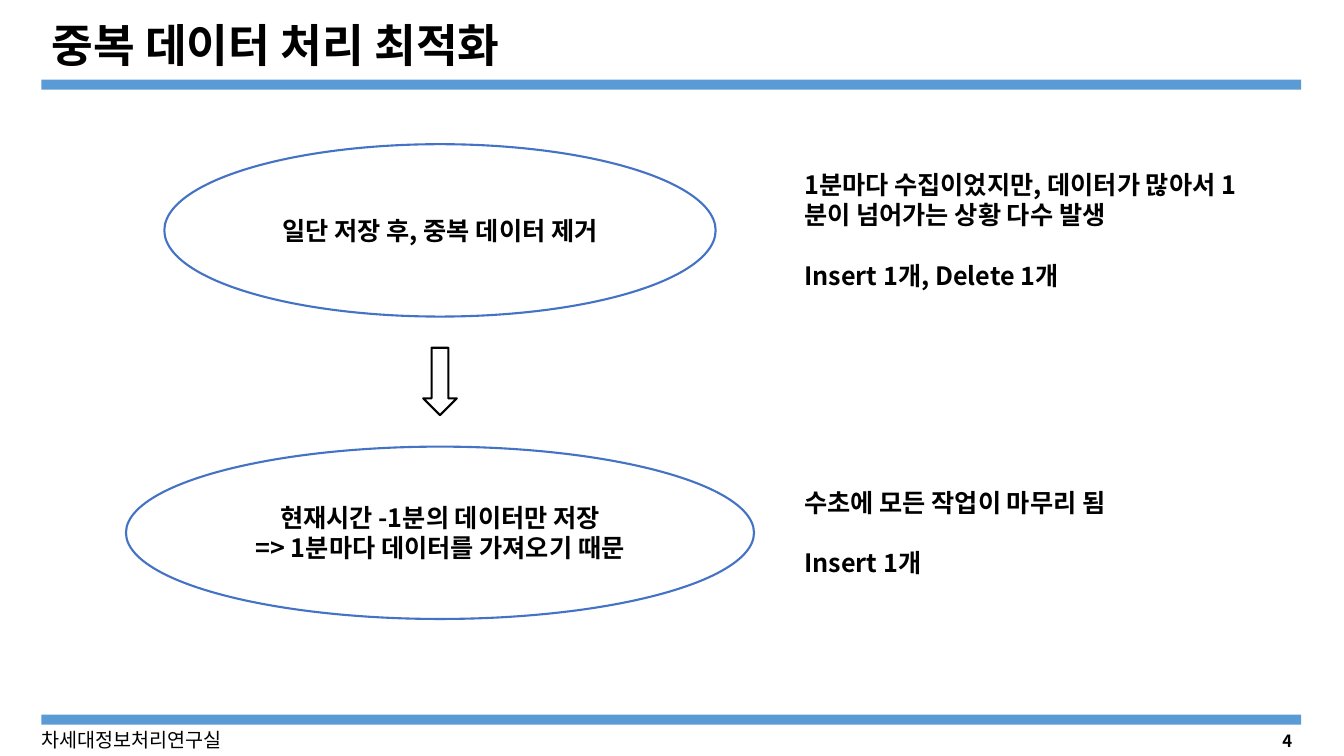
from dataclasses import dataclass

from lxml import etree
from pptx import Presentation
from pptx.dml.color import RGBColor
from pptx.enum import shapes, text
from pptx.oxml import ns
from pptx.util import Pt

FONT = "Noto Sans CJK KR"
BLACK = RGBColor(0x00, 0x00, 0x00)
WHITE = RGBColor(0xFF, 0xFF, 0xFF)
BAR_BLUE = RGBColor(0x5B, 0x9B, 0xD5)
OUTLINE_BLUE = RGBColor(0x44, 0x72, 0xC4)

BAR_LEFT, BAR_WIDTH, BAR_HEIGHT = 29.5, 900, 7.2
FLOW_CENTER = 314.3
STEP_HEIGHT = 123.1
NOTE_LEFT, NOTE_WIDTH = 567.4, 339.8
NOTE_GAP = 21.6


@dataclass
class Step:
    top: float
    width: float
    lines: list[str]


@dataclass
class Label:
    left: float
    top: float
    width: float
    height: float
    lines: list[str]
    size: float = 18
    bold: bool = True
    align: text.PP_ALIGN = text.PP_ALIGN.LEFT
    anchor: text.MSO_ANCHOR = text.MSO_ANCHOR.TOP
    gap: float = 0


STEPS = [
    Step(103, 393.8, ["일단 저장 후, 중복 데이터 제거"]),
    Step(319, 448.6, ["현재시간 -1분의 데이터만 저장", "=> 1분마다 데이터를 가져오기 때문"]),
]

LABELS = [
    Label(NOTE_LEFT, 117.4, NOTE_WIDTH, 94.3,
          ["1분마다 수집이었지만, 데이터가 많아서 1분이 넘어가는 상황 다수 발생",
           "Insert 1개, Delete 1개"], gap=NOTE_GAP),
    Label(NOTE_LEFT, 344.2, NOTE_WIDTH, 72.7,
          ["수초에 모든 작업이 마무리 됨", "Insert 1개"], gap=NOTE_GAP),
    Label(22.3, 516.2, 197.3, 24.5, ["차세대정보처리연구실"], size=14, bold=False),
    Label(714.2, 518.4, 216, 21.6, ["4"], size=12,
          align=text.PP_ALIGN.RIGHT, anchor=text.MSO_ANCHOR.MIDDLE),
]


def write_lines(frame, lines: list[str], size: float, bold: bool = True,
                align=text.PP_ALIGN.LEFT, anchor=text.MSO_ANCHOR.MIDDLE,
                gap: float = 0) -> None:
    """Fill a text frame, one paragraph a line, with gap points between them."""
    frame.word_wrap = True
    frame.vertical_anchor = anchor
    for index, line in enumerate(lines):
        paragraph = frame.add_paragraph() if index else frame.paragraphs[0]
        paragraph.text = line
        paragraph.alignment = align
        if index and gap:
            paragraph.space_before = Pt(gap)
        font = paragraph.font
        font.name, font.size, font.bold = FONT, Pt(size), bold
        font.color.rgb = BLACK
        # Hangul takes its typeface from the East Asian font element.
        latin = paragraph._p.pPr.find(".//" + ns.qn("a:latin"))
        east_asian = etree.Element(ns.qn("a:ea"), typeface=FONT)
        latin.addnext(east_asian)


def add_figure(slide, kind, left: float, top: float, width: float, height: float,
               fill: RGBColor, line: RGBColor | None = None):
    shape = slide.shapes.add_shape(kind, Pt(left), Pt(top), Pt(width), Pt(height))
    shape.shadow.inherit = False
    shape.fill.solid()
    shape.fill.fore_color.rgb = fill
    if line is None:
        shape.line.fill.background()
    else:
        shape.line.color.rgb = line
        shape.line.width = Pt(1.5)
    return shape


def add_title(slide, title_text: str) -> None:
    title = slide.shapes.title
    title.left, title.top, title.width, title.height = Pt(29.5), Pt(11.5), Pt(720.7), Pt(44.6)
    write_lines(title.text_frame, [title_text], 32.4)
    title.text_frame.auto_size = text.MSO_AUTO_SIZE.NONE
    title.text_frame.paragraphs[0].line_spacing = 0.9


def add_step(slide, step: Step) -> None:
    oval = add_figure(slide, shapes.MSO_SHAPE.OVAL, FLOW_CENTER - step.width / 2, step.top,
                      step.width, STEP_HEIGHT, WHITE, OUTLINE_BLUE)
    write_lines(oval.text_frame, step.lines, 18, align=text.PP_ALIGN.CENTER)


def add_label(slide, label: Label) -> None:
    box = slide.shapes.add_textbox(Pt(label.left), Pt(label.top),
                                   Pt(label.width), Pt(label.height))
    write_lines(box.text_frame, label.lines, label.size, label.bold,
                label.align, label.anchor, label.gap)


def main() -> None:
    presentation = Presentation()
    presentation.slide_width, presentation.slide_height = Pt(960), Pt(540)
    slide = presentation.slides.add_slide(presentation.slide_layouts[5])

    add_title(slide, "중복 데이터 처리 최적화")
    for bar_top in (56.9, 510.5):
        add_figure(slide, shapes.MSO_SHAPE.RECTANGLE, BAR_LEFT, bar_top,
                   BAR_WIDTH, BAR_HEIGHT, BAR_BLUE)
    for step in STEPS:
        add_step(slide, step)
    arrow_width = 24
    add_figure(slide, shapes.MSO_SHAPE.DOWN_ARROW, FLOW_CENTER - arrow_width / 2, 248.4,
               arrow_width, 48.2, WHITE, BLACK)
    for label in LABELS:
        add_label(slide, label)

    presentation.save("out.pptx")


if __name__ == "__main__":
    main()
